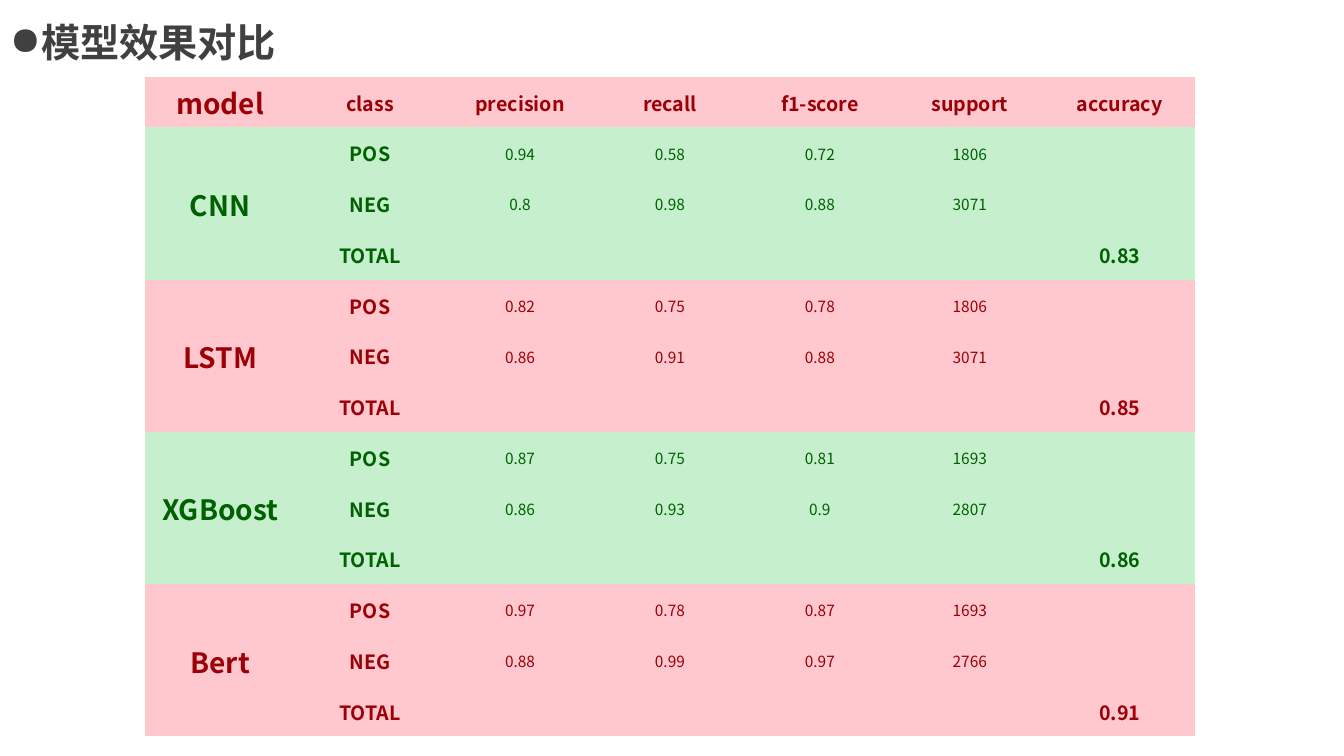
from lxml import etree
from pptx import Presentation
from pptx.dml.color import RGBColor
from pptx.enum.text import MSO_ANCHOR, MSO_AUTO_SIZE, PP_ALIGN
from pptx.oxml.ns import qn
from pptx.util import Pt

PX = 9144  # 100 px to the inch
FONT = "Noto Sans CJK SC"
CENTER = PP_ALIGN.CENTER
MIDDLE = MSO_ANCHOR.MIDDLE
GROW = MSO_AUTO_SIZE.SHAPE_TO_FIT_TEXT
PLAIN = "{2D5ABB26-0587-4C30-8999-92F81FD0307C}"  # no style, no grid

GRAY = "404040"
RED = ("FFC7CE", "9C0006")  # fill, text
GREEN = ("C6EFCE", "006100")

HEAD = ["model", "class", "precision", "recall", "f1-score", "support", "accuracy"]
# name, POS scores, NEG scores, accuracy
MODELS = [
    ("CNN", "0.94 0.58 0.72 1806", "0.8 0.98 0.88 3071", "0.83"),
    ("LSTM", "0.82 0.75 0.78 1806", "0.86 0.91 0.88 3071", "0.85"),
    ("XGBoost", "0.87 0.75 0.81 1693", "0.86 0.93 0.9 2807", "0.86"),
    ("Bert", "0.97 0.78 0.87 1693", "0.88 0.99 0.97 2766", "0.91"),
]


def px(n):
    return round(n * PX)


def rgb(code):
    return RGBColor.from_string(code)


def put(frame, text, size=14, color=GRAY, bold=True, align=None):
    para = frame.paragraphs[0]
    para.alignment = align
    run = para.add_run()
    run.text = text
    font = run.font
    font.name, font.size, font.bold = FONT, Pt(size), bold
    font.color.rgb = rgb(color)
    east = etree.SubElement(run._r.get_or_add_rPr(), qn("a:ea"))
    east.set("typeface", FONT)
    return para


def add_title(slide, x, y, w, h):
    box = slide.shapes.add_textbox(px(x), px(y), px(w), px(h))
    frame = box.text_frame
    frame.word_wrap = True
    frame.auto_size = GROW
    para = put(frame, "模型效果对比", size=28)
    para.line_spacing = 0.9
    # Hanging bullet
    props = para._p.get_or_add_pPr()
    props.set("marL", str(px(31)))
    props.set("indent", str(-px(31)))
    etree.SubElement(props, qn("a:buChar")).set("char", "●")


def fill_row(table, row, texts, tone):
    back, ink = tone
    for col, text in enumerate(texts):
        cell = table.cell(row, col)
        cell.fill.solid()
        cell.fill.fore_color.rgb = rgb(back)
        cell.vertical_anchor = MIDDLE
        cell.margin_left = cell.margin_right = cell.margin_top = px(1)
        cell.margin_bottom = 0
        if text:
            score = row > 0 and 2 <= col <= 5
            size = 20 if col == 0 else 11 if score else 14
            put(cell.text_frame, text, size=size, color=ink,
                bold=not score, align=CENTER)


def add_scores(slide, x, y, w, h):
    rows, cols = 1 + 3 * len(MODELS), len(HEAD)
    shape = slide.shapes.add_table(rows, cols, px(x), px(y), px(w), px(h))
    table = shape.table
    table.first_row = table.horz_banding = False
    for style in shape.element.iter(qn("a:tableStyleId")):
        style.text = PLAIN
    for col in table.columns:
        col.width = px(w / cols)
    for row in table.rows:
        row.height = px(h / rows)

    # Header, then three rows per model in alternating tones
    fill_row(table, 0, HEAD, RED)
    for i, (name, pos, neg, total) in enumerate(MODELS):
        top = 1 + 3 * i
        tone = RED if i % 2 else GREEN
        fill_row(table, top, [name, "POS", *pos.split(), ""], tone)
        fill_row(table, top + 1, ["", "NEG", *neg.split(), ""], tone)
        fill_row(table, top + 2, ["", "TOTAL", "", "", "", "", total], tone)
        table.cell(top, 0).merge(table.cell(top + 2, 0))


def main():
    deck = Presentation()
    deck.slide_width, deck.slide_height = px(1333), px(750)
    slide = deck.slides.add_slide(deck.slide_layouts[6])
    add_title(slide, 0, 19, 288, 57)
    add_scores(slide, 144, 76, 1041, 655)
    deck.save("out.pptx")


if __name__ == "__main__":
    main()
